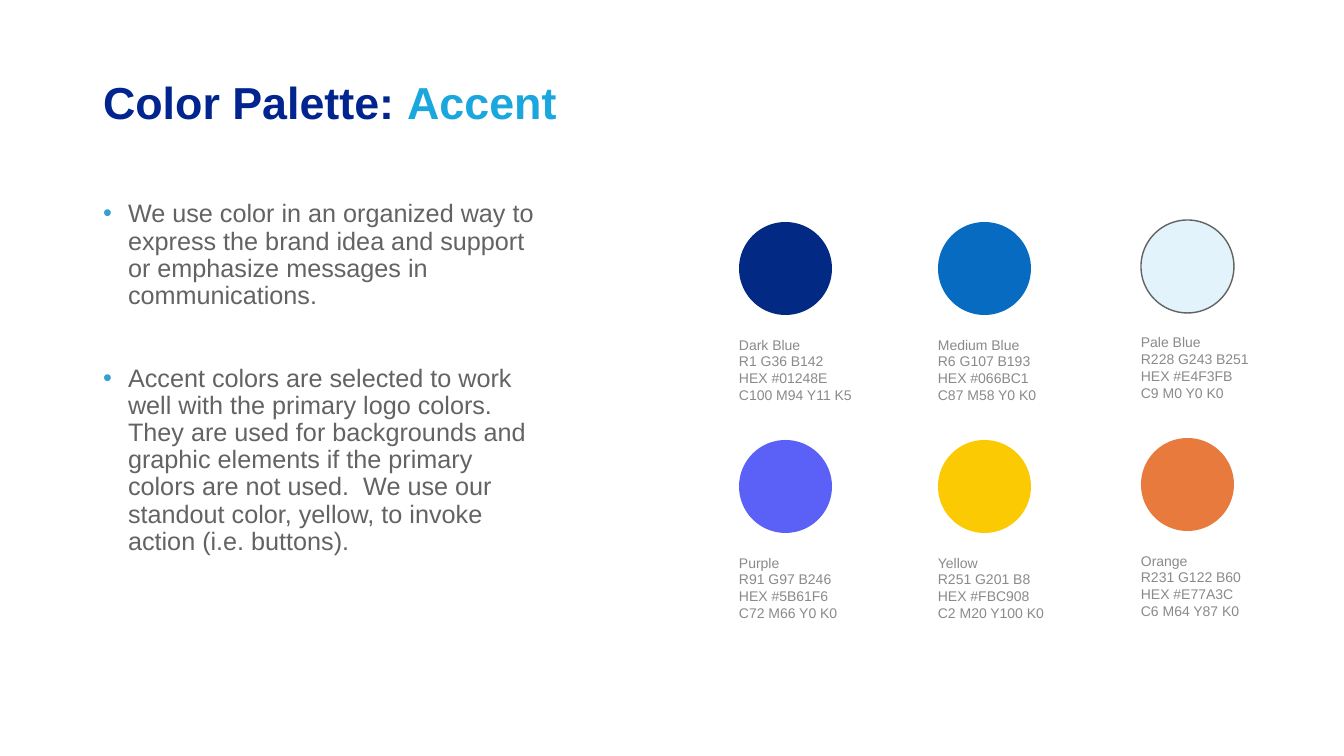
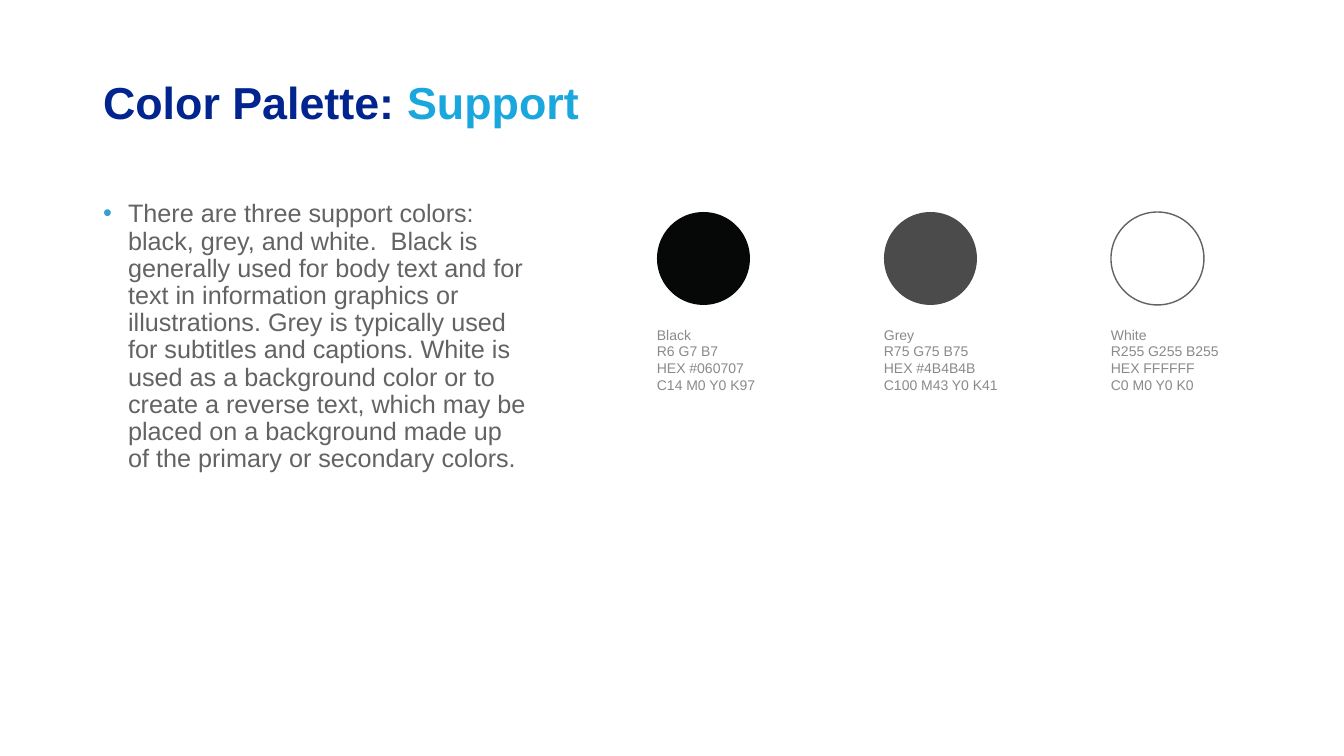
import pptx
import pptx.dml.color
import pptx.enum.shapes
import pptx.enum.text
import pptx.oxml.ns
import pptx.util
from lxml import etree

PX = 914400 / 100.8  # EMU in one px
FONT = "Arial"
COLORS = {
    "title": "01248E", "accent": "19A7DE", "body": "626362",
    "bullet": "35A0CF", "label": "898A89", "outline": "626362",
    "Dark Blue": "022983", "Medium Blue": "066BC1", "Pale Blue": "E3F3FB",
    "Purple": "5B61F6", "Yellow": "FBCA03", "Orange": "E77A3C",
    "Black": "060707", "Grey": "4B4B4B", "White": "FFFFFF",
}
OUTLINED = {"Pale Blue", "White"}
CIRCLE = 93
LABEL_OFFSET = 114
ROW_PITCH = 218

ACCENT_SWATCHES = [
    [("Dark Blue", "R1 G36 B142", "HEX #01248E", "C100 M94 Y11 K5"),
     ("Medium Blue", "R6 G107 B193", "HEX #066BC1", "C87 M58 Y0 K0"),
     ("Pale Blue", "R228 G243 B251", "HEX #E4F3FB", "C9 M0 Y0 K0")],
    [("Purple", "R91 G97 B246", "HEX #5B61F6", "C72 M66 Y0 K0"),
     ("Yellow", "R251 G201 B8", "HEX #FBC908", "C2 M20 Y100 K0"),
     ("Orange", "R231 G122 B60", "HEX #E77A3C", "C6 M64 Y87 K0")],
]
SUPPORT_SWATCHES = [
    [("Black", "R6 G7 B7", "HEX #060707", "C14 M0 Y0 K97"),
     ("Grey", "R75 G75 B75", "HEX #4B4B4B", "C100 M43 Y0 K41"),
     ("White", "R255 G255 B255", "HEX FFFFFF", "C0 M0 Y0 K0")],
]
ACCENT_TEXT = [
    "We use color in an organized way to express the brand idea and support "
    "or emphasize messages in communications.",
    "Accent colors are selected to work well with the primary logo colors. "
    "They are used for backgrounds and graphic elements if the primary colors "
    "are not used.  We use our standout color, yellow, to invoke action "
    "(i.e. buttons).",
]
SUPPORT_TEXT = [
    "There are three support colors: black, grey, and white.  Black is "
    "generally used for body text and for text in information graphics or "
    "illustrations. Grey is typically used for subtitles and captions. White "
    "is used as a background color or to create a reverse text, which may be "
    "placed on a background made up of the primary or secondary colors.",
]


def px(value):
    return pptx.util.Emu(round(value * PX))


def rgb(name):
    return pptx.dml.color.RGBColor.from_string(COLORS[name])


def place(shape, left, top, width, height):
    shape.left, shape.top = px(left), px(top)
    shape.width, shape.height = px(width), px(height)


def set_font(font, size, color, bold=False):
    font.name, font.size, font.bold = FONT, pptx.util.Pt(size), bold
    font.color.rgb = rgb(color)


def prepare_frame(frame):
    frame.word_wrap = True
    frame.auto_size = pptx.enum.text.MSO_AUTO_SIZE.NONE
    frame.vertical_anchor = pptx.enum.text.MSO_ANCHOR.TOP


def add_bullet(paragraph):
    properties = paragraph._p.get_or_add_pPr()
    indent = px(25)
    properties.set("marL", str(indent))
    properties.set("indent", str(-indent))
    qn = pptx.oxml.ns.qn
    color = etree.SubElement(properties, qn("a:buClr"))
    etree.SubElement(color, qn("a:srgbClr"), val=COLORS["bullet"])
    etree.SubElement(properties, qn("a:buChar"), char="•")


def fill_title(title, topic):
    place(title, 93, 76, 1159, 107)
    prepare_frame(title.text_frame)
    paragraph = title.text_frame.paragraphs[0]
    paragraph.alignment = pptx.enum.text.PP_ALIGN.LEFT
    paragraph.line_spacing = 0.9
    set_font(paragraph.font, 32, "title", bold=True)
    paragraph.add_run().text = "Color Palette: "
    topic_run = paragraph.add_run()
    topic_run.text = topic
    topic_run.font.color.rgb = rgb("accent")


def fill_body(body, texts, width):
    place(body, 93, 196, width, 450)
    frame = body.text_frame
    prepare_frame(frame)
    for index, text in enumerate(texts):
        paragraph = frame.add_paragraph() if index else frame.paragraphs[0]
        paragraph.text = text
        add_bullet(paragraph)
        paragraph.line_spacing = 0.9
        paragraph.space_before = pptx.util.Pt(39.5 if index else 0)
        set_font(paragraph.font, 18, "body")


def add_swatch(slide, left, top, lines):
    name = lines[0]
    circle = slide.shapes.add_shape(
        pptx.enum.shapes.MSO_SHAPE.OVAL, px(left), px(top), px(CIRCLE), px(CIRCLE))
    circle.shadow.inherit = False
    circle.fill.solid()
    circle.fill.fore_color.rgb = rgb(name)
    if name in OUTLINED:
        circle.line.color.rgb = rgb("outline")
        circle.line.width = pptx.util.Pt(1)
    else:
        circle.line.fill.background()

    label = slide.shapes.add_textbox(
        px(left), px(top + LABEL_OFFSET), px(170), px(108))
    frame = label.text_frame
    prepare_frame(frame)
    frame.margin_left = frame.margin_top = 0
    frame.margin_right = frame.margin_bottom = 0
    frame.text = "\n".join(lines)
    for paragraph in frame.paragraphs:
        set_font(paragraph.font, 10, "label")


def add_palette_slide(presentation, topic, texts, body_width, swatches, columns):
    """columns holds the left and top of the first swatch in each column."""
    slide = presentation.slides.add_slide(presentation.slide_layouts[1])
    fill_title(slide.shapes.title, topic)
    fill_body(slide.placeholders[1], texts, body_width)
    for row, row_swatches in enumerate(swatches):
        for (left, top), lines in zip(columns, row_swatches):
            add_swatch(slide, left, top + row * ROW_PITCH, lines)


def main():
    presentation = pptx.Presentation()
    presentation.slide_width, presentation.slide_height = px(1344), px(756)
    add_palette_slide(presentation, "Accent", ACCENT_TEXT, 458, ACCENT_SWATCHES,
                      [(739, 222), (938, 222), (1141, 220)])
    add_palette_slide(presentation, "Support", SUPPORT_TEXT, 444, SUPPORT_SWATCHES,
                      [(657 + 227 * column, 212) for column in range(3)])
    presentation.save("out.pptx")


if __name__ == "__main__":
    main()
